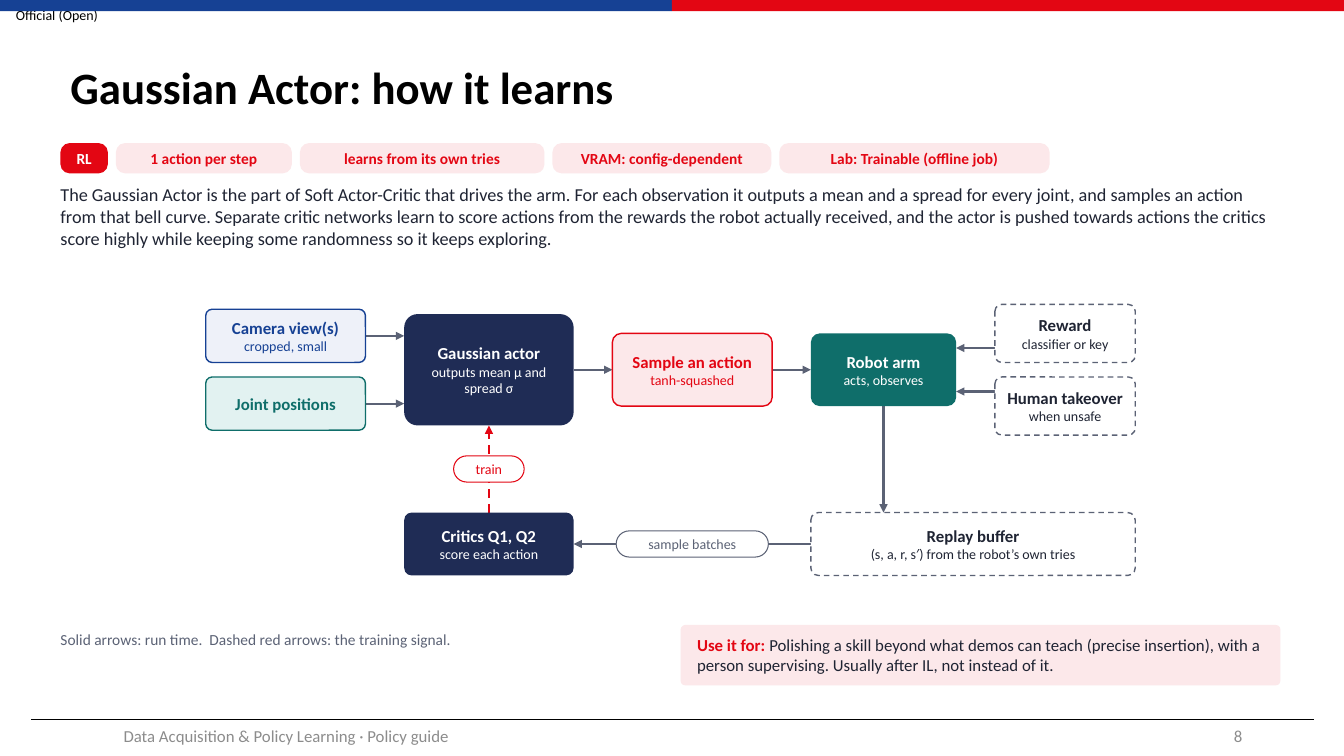
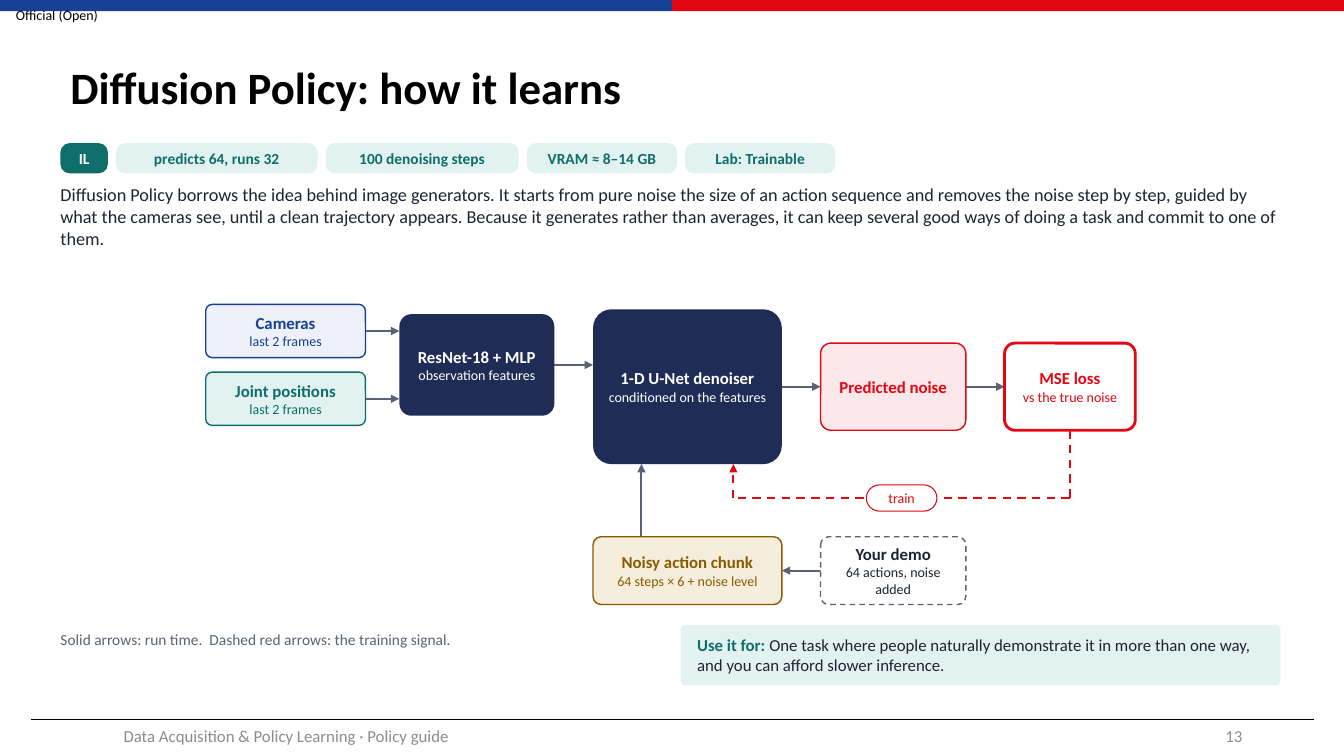
from collections import namedtuple
from itertools import pairwise

from lxml.etree import SubElement
from pptx import Presentation
from pptx.dml.color import RGBColor
from pptx.enum.dml import MSO_LINE
from pptx.enum.shapes import MSO_CONNECTOR, MSO_SHAPE
from pptx.enum.text import MSO_ANCHOR, PP_ALIGN
from pptx.oxml.ns import qn
from pptx.util import Inches, Pt

WIDTH, HEIGHT = 13.33, 7.5
BLUE, RED, TEAL, NAVY, BROWN = "164194", "E30613", "0F6E6A", "1F2C55", "8A5A00"
PALE_BLUE, PALE_RED, PALE_TEAL, SAND = "EEF1F9", "FCE8EA", "E2F2F1", "F6EEDC"
BLACK, WHITE, INK, SLATE, GREY = "000000", "FFFFFF", "1F2433", "5B6275", "8C8C8C"
LEFT, CENTER, RIGHT = PP_ALIGN.LEFT, PP_ALIGN.CENTER, PP_ALIGN.RIGHT

FONTS = {
    "title": {"size": Pt(32), "bold": True},
    "body": {"size": Pt(13), "bold": False},
    "head": {"size": Pt(12), "bold": True},
    "text": {"size": Pt(12), "bold": False},
    "tag": {"size": Pt(11), "bold": True},
    "note": {"size": Pt(11), "bold": False},
    "small": {"size": Pt(10), "bold": False},
}
Look = namedtuple("Look", "fill text line weight dash", defaults=(None, 1, False))
LOOKS = {
    "camera": Look(PALE_BLUE, BLUE, BLUE),
    "joints": Look(PALE_TEAL, TEAL, TEAL),
    "network": Look(NAVY, WHITE),
    "robot": Look(TEAL, WHITE),
    "output": Look(PALE_RED, RED, RED),
    "loss": Look(WHITE, RED, RED, 2),
    "noise": Look(SAND, BROWN, BROWN),
    "data": Look(WHITE, INK, SLATE, 1, True),
}


class Grid(namedtuple("Grid", "left top unit")):
    """Turns columns and rows into inches."""

    def point(self, col, row):
        """Return the place of a grid point."""
        return self.left + col * self.unit, self.top + row * self.unit

    def box(self, col, row, cols, rows):
        """Return left, top, width and height of a block of cells."""
        return *self.point(col, row), cols * self.unit, rows * self.unit


PAGE = Grid(0, 0, 0.1)
DIAGRAM = Grid(2.04, 3.02, 9.22 / 192)


def rgb(value):
    """Return a colour from a hex string."""
    return RGBColor.from_string(value)


class Deck:
    """Holds the style and the current slide."""

    def __init__(self, prs):
        """Set the slide size."""
        self.prs = prs
        prs.slide_width, prs.slide_height = Inches(WIDTH), Inches(HEIGHT)

    def fill_text(self, s, paragraphs, align=LEFT, inset=(0, 0), anchor=MSO_ANCHOR.MIDDLE,
                  spacing=1):
        """Fill a shape with paragraphs of (text, font, colour) runs."""
        tf = s.text_frame
        x, y = map(Inches, inset)
        frame = {"word_wrap": True, "vertical_anchor": anchor, "margin_left": x,
                 "margin_right": x, "margin_top": y, "margin_bottom": y}
        for name, value in frame.items():
            setattr(tf, name, value)
        for i, runs in enumerate(paragraphs):
            p = tf.add_paragraph() if i else tf.paragraphs[0]
            p.alignment, p.line_spacing = align, spacing
            for text, font, color in runs:
                r = p.add_run()
                r.text = text
                for name, value in {"name": "Calibri", **FONTS[font]}.items():
                    setattr(r.font, name, value)
                r.font.color.rgb = rgb(color)

    def text(self, box, text, font, color, **layout):
        """Add a text box with one paragraph."""
        s = self.slide.shapes.add_textbox(*map(Inches, box))
        self.fill_text(s, [[(text, font, color)]], **layout)

    def shape(self, box, look, corner=None):
        """Add a filled rectangle, rounded when a corner is given."""
        kind = MSO_SHAPE.RECTANGLE if corner is None else MSO_SHAPE.ROUNDED_RECTANGLE
        s = self.slide.shapes.add_shape(kind, *map(Inches, box))
        if corner is not None:
            s.adjustments[0] = corner
        s.shadow.inherit = False
        s.fill.solid()
        s.fill.fore_color.rgb = rgb(look.fill)
        if look.line:
            self.stroke(s, look.line, look.weight, look.dash)
        else:
            s.line.fill.background()
        return s

    def stroke(self, s, color, weight, dash=False):
        """Set the line of a shape or connector."""
        s.line.color.rgb = rgb(color)
        s.line.width = Pt(weight)
        if dash:
            s.line.dash_style = MSO_LINE.DASH

    def line(self, start, end, color, weight, dash=False, head=False):
        """Add a straight line with an optional arrowhead."""
        s = self.slide.shapes.add_connector(
            MSO_CONNECTOR.STRAIGHT, *map(Inches, (*start, *end)))
        self.stroke(s, color, weight, dash)
        sp = s._element.spPr
        if head:
            SubElement(sp.find(qn("a:ln")), qn("a:tailEnd"), type="triangle")
        SubElement(sp, qn("a:effectLst"))

    def arrow(self, *route, label=None, training=False):
        """Add an arrow along grid points, with a pill on its middle part."""
        points = [DIAGRAM.point(*place) for place in route]
        color = RED if training else SLATE
        for start, end in pairwise(points):
            self.line(start, end, color, 1.5, training, end == points[-1])
        if label:
            half = len(points) // 2
            x, y = (sum(pair) / 2 for pair in zip(points[half - 1], points[half]))
            w, h = 0.25 + 0.09 * len(label), 0.26
            s = self.shape((x - w / 2, y - h / 2, w, h), Look(WHITE, color, color, 0.75), 0.5)
            self.fill_text(s, [[(label, "small", color)]], CENTER, (0.02, 0))

    def node(self, place, look, head, detail=None):
        """Add a diagram box with a heading and a detail line."""
        look = LOOKS[look]
        s = self.shape(DIAGRAM.box(*place), look, 0.12)
        lines = [[(head, "head", look.text)]]
        if detail:
            lines.append([(detail, "small", look.text)])
        self.fill_text(s, lines, CENTER, (0.04, 0.02))

    def tags(self, labels, accent, pale):
        """Add the row of tags, each as wide as its label needs."""
        x, gap = 0.6, 0.08
        for i, label in enumerate(labels):
            look = Look(pale, accent) if i else Look(accent, WHITE)
            w = 0.3 + 0.085 * len(label)
            s = self.shape((x, 1.42, w, 0.3), look, 0.3)
            self.fill_text(s, [[(label, "tag", look.text)]], CENTER, (0.03, 0))
            x += w + gap

    def use(self, text, accent, pale):
        """Add the advice panel."""
        s = self.shape(PAGE.box(67.5, 62, 59.5, 6), Look(pale, INK), 0.08)
        runs = [("Use it for: ", "head", accent), (text, "text", INK)]
        self.fill_text(s, [runs], LEFT, (0.15, 0.02))

    def page(self, title, number, tags, intro, use, accent, pale):
        """Start a slide with everything around the diagram."""
        self.slide = self.prs.slides.add_slide(self.prs.slide_layouts[6])
        self.text(PAGE.box(0, 0, 11.3, 2.9), "Official (Open)", "small", BLACK, align=CENTER)
        for i, color in enumerate((BLUE, RED)):
            self.shape((i * WIDTH / 2, 0, WIDTH / 2, 0.11), Look(color, WHITE))
        self.line(PAGE.point(3.1, 71.4), PAGE.point(130.3, 71.4), BLACK, 0.5)
        padded = {"inset": (0.1, 0.05)}
        self.text(PAGE.box(6, 3, 120.8, 11.8), title, "title", BLACK, spacing=0.9, **padded)
        self.text(PAGE.box(5.9, 71, 45, 4), "Data Acquisition & Policy Learning · Policy guide",
                  "text", GREY, align=CENTER, **padded)
        self.text(PAGE.box(94.2, 71, 30, 4), number, "text", GREY, align=RIGHT, **padded)
        self.tags(tags, accent, pale)
        self.text(PAGE.box(6, 18.2, 121, 8.5), intro, "body", INK, anchor=MSO_ANCHOR.TOP)
        self.text(PAGE.box(6, 62.5, 60, 3),
                  "Solid arrows: run time.  Dashed red arrows: the training signal.",
                  "note", SLATE, anchor=MSO_ANCHOR.TOP)
        self.use(use, accent, pale)


def gaussian_actor(deck):
    """Build the Gaussian Actor slide."""
    deck.page(
        "Gaussian Actor: how it learns", "8",
        ["RL", "1 action per step", "learns from its own tries", "VRAM: config-dependent",
         "Lab: Trainable (offline job)"],
        "The Gaussian Actor is the part of Soft Actor-Critic that drives the arm. For each "
        "observation it outputs a mean and a spread for every joint, and samples an action from "
        "that bell curve. Separate critic networks learn to score actions from the rewards the "
        "robot actually received, and the actor is pushed towards actions the critics score "
        "highly while keeping some randomness so it keeps exploring.",
        "Polishing a skill beyond what demos can teach (precise insertion), with a person "
        "supervising. Usually after IL, not instead of it.",
        RED, PALE_RED)
    for start, end in (
        ((33, 6.5), (41, 6.5)), ((33, 20.5), (41, 20.5)), ((76, 13.5), (84, 13.5)),
        ((117, 13.5), (125, 13.5)), ((163, 9), (155, 9)), ((163, 18), (155, 18)),
        ((140, 21), (140, 43)),
    ):
        deck.arrow(start, end)
    deck.arrow((125, 49.5), (76, 49.5), label="sample batches")
    deck.arrow((58.5, 43), (58.5, 25), label="train", training=True)
    for node in (
        ((0, 1, 33, 11), "camera", "Camera view(s)", "cropped, small"),
        ((0, 15, 33, 11), "joints", "Joint positions"),
        ((41, 2, 35, 23), "network", "Gaussian actor", "outputs mean μ and spread σ"),
        ((84, 6, 33, 15), "output", "Sample an action", "tanh-squashed"),
        ((125, 6, 30, 15), "robot", "Robot arm", "acts, observes"),
        ((163, 0, 29, 12), "data", "Reward", "classifier or key"),
        ((163, 15, 29, 12), "data", "Human takeover", "when unsafe"),
        ((125, 43, 67, 13), "data", "Replay buffer", "(s, a, r, s′) from the robot’s own tries"),
        ((41, 43, 35, 13), "network", "Critics Q1, Q2", "score each action"),
    ):
        deck.node(*node)


def diffusion_policy(deck):
    """Build the Diffusion Policy slide."""
    deck.page(
        "Diffusion Policy: how it learns", "13",
        ["IL", "predicts 64, runs 32", "100 denoising steps", "VRAM ≈ 8–14 GB", "Lab: Trainable"],
        "Diffusion Policy borrows the idea behind image generators. It starts from pure noise the "
        "size of an action sequence and removes the noise step by step, guided by what the "
        "cameras see, until a clean trajectory appears. Because it generates rather than "
        "averages, it can keep several good ways of doing a task and commit to one of them.",
        "One task where people naturally demonstrate it in more than one way, and you can afford "
        "slower inference.",
        TEAL, PALE_TEAL)
    for start, end in (
        ((33, 5.5), (40, 5.5)), ((33, 19.5), (40, 19.5)), ((72, 12.5), (80, 12.5)),
        ((119, 17), (127, 17)), ((157, 17), (165, 17)), ((90, 48), (90, 33)),
        ((127, 55), (119, 55)),
    ):
        deck.arrow(start, end)
    deck.arrow((178.5, 26), (178.5, 40), (109, 40), (109, 33), label="train", training=True)
    for node in (
        ((0, 0, 33, 11), "camera", "Cameras", "last 2 frames"),
        ((0, 14, 33, 11), "joints", "Joint positions", "last 2 frames"),
        ((40, 2, 32, 21), "network", "ResNet-18 + MLP", "observation features"),
        ((80, 1, 39, 32), "network", "1-D U-Net denoiser", "conditioned on the features"),
        ((127, 8, 30, 18), "output", "Predicted noise"),
        ((165, 8, 27, 18), "loss", "MSE loss", "vs the true noise"),
        ((80, 48, 39, 14), "noise", "Noisy action chunk", "64 steps × 6 + noise level"),
        ((127, 48, 30, 14), "data", "Your demo", "64 actions, noise added"),
    ):
        deck.node(*node)


def main():
    """Build and save the slides."""
    prs = Presentation()
    deck = Deck(prs)
    gaussian_actor(deck)
    diffusion_policy(deck)
    prs.save("out.pptx")


if __name__ == "__main__":
    main()
